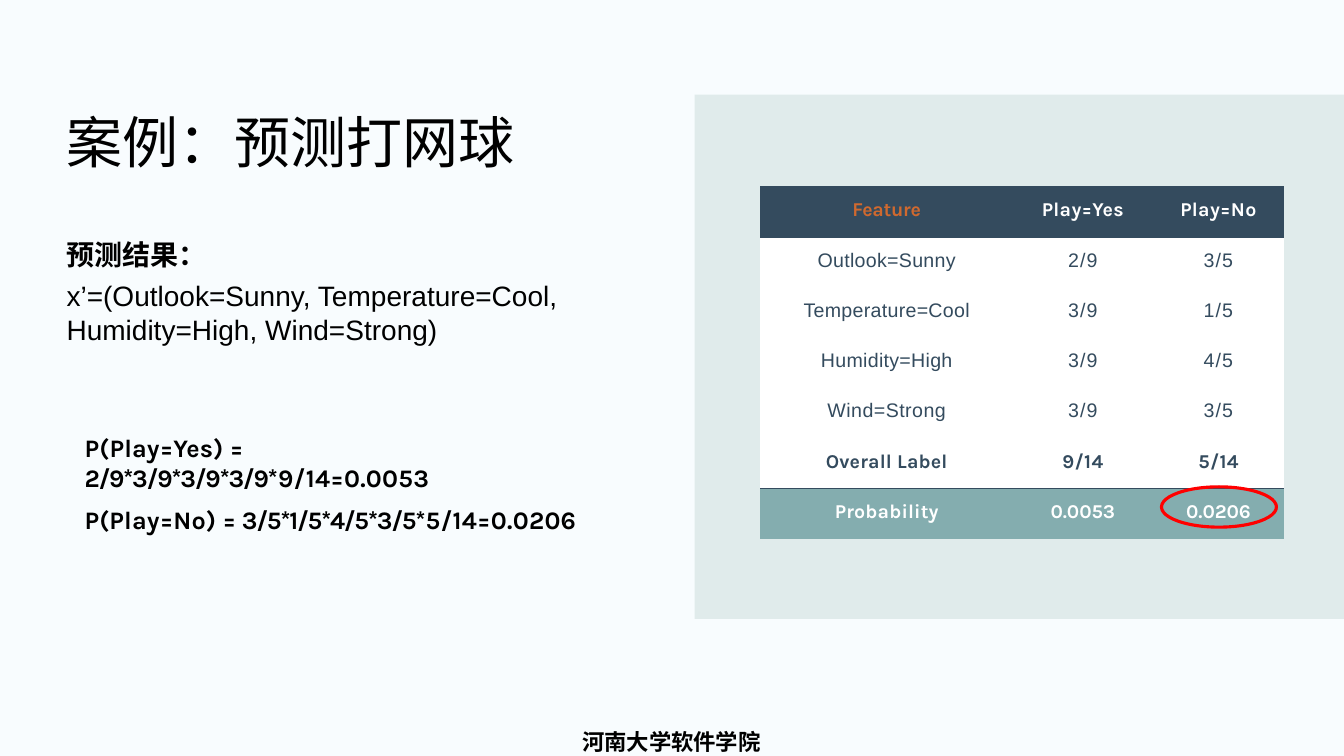
from lxml.etree import SubElement
from pptx import Presentation
from pptx.dml.color import RGBColor
from pptx.enum.shapes import MSO_SHAPE
from pptx.enum.text import MSO_ANCHOR, MSO_AUTO_SIZE, PP_ALIGN
from pptx.oxml import parse_xml
from pptx.oxml.ns import nsdecls, qn
from pptx.util import Inches, Pt

BACKGROUND = RGBColor(0xF8, 0xFC, 0xFE)
PANEL = RGBColor(0xE0, 0xEB, 0xEB)
NAVY = RGBColor(0x34, 0x4B, 0x5E)
TEAL = RGBColor(0x84, 0xAD, 0xAF)
ORANGE = RGBColor(0xD0, 0x69, 0x2F)
WHITE = RGBColor(0xFF, 0xFF, 0xFF)
BLACK = RGBColor(0, 0, 0)
RED = RGBColor(0xFF, 0, 0)
PLAIN_TABLE = "{2D5ABB26-0587-4C30-8999-92F81FD0307C}"


class SlideBuilder:
    heading_font = "Karla"
    body_font = "Arial"

    def __init__(self, slide):
        self.slide = slide
        slide.background.fill.solid()
        slide.background.fill.fore_color.rgb = BACKGROUND

    def set_text(self, paragraph, runs, size, font, color=BLACK, bold=False,
                 align=PP_ALIGN.LEFT):
        """Fill a paragraph with (text, letter spacing in points) runs."""
        for text, spacing in runs:
            run = paragraph.add_run()
            run.text = text
            if spacing:
                run.font._element.set("spc", str(round(spacing * 100)))
        paragraph.alignment = align
        paragraph.font.size = Pt(size)
        paragraph.font.name = font
        paragraph.font.bold = bold
        paragraph.font.color.rgb = color

    def text_box(self, left, top, width, height, insets=(0.1, 0.05, 0.1, 0.05),
                 anchor=MSO_ANCHOR.TOP):
        frame = self.slide.shapes.add_textbox(
            Inches(left), Inches(top), Inches(width), Inches(height)).text_frame
        frame.word_wrap = True
        frame.auto_size = MSO_AUTO_SIZE.SHAPE_TO_FIT_TEXT
        frame.vertical_anchor = anchor
        (frame.margin_left, frame.margin_top,
         frame.margin_right, frame.margin_bottom) = map(Inches, insets)
        return frame

    def shape(self, kind, left, top, width, height, fill=None, line=None):
        shape = self.slide.shapes.add_shape(
            kind, Inches(left), Inches(top), Inches(width), Inches(height))
        shape.shadow.inherit = False
        if fill is None:
            shape.fill.background()
        else:
            shape.fill.solid()
            shape.fill.fore_color.rgb = fill
        if line is None:
            shape.line.fill.background()
        else:
            shape.line.color.rgb = line
            shape.line.width = Pt(2.25)

    def table(self, left, top, widths, heights):
        table = self.slide.shapes.add_table(
            len(heights), len(widths), Inches(left), Inches(top),
            Inches(sum(widths)), Inches(sum(heights))).table
        table.first_row = table.horz_banding = False
        table._tbl.tblPr.find(qn("a:tableStyleId")).text = PLAIN_TABLE
        for column, width in zip(table.columns, widths):
            column.width = Inches(width)
        for row, height in zip(table.rows, heights):
            row.height = Inches(height)
        return table

    def cell(self, cell, text, spacing, fill, color, bold):
        cell.margin_left = cell.margin_right = cell.margin_bottom = 0
        cell.margin_top = Inches(0.12)
        cell.fill.solid()
        cell.fill.fore_color.rgb = fill
        font = self.heading_font if bold else self.body_font
        self.set_text(cell.text_frame.paragraphs[0], [(text, spacing)], 14,
                      font, color, bold, PP_ALIGN.CENTER)

    def cell_border(self, cell, side, color):
        border = parse_xml(f'<a:{side} {nsdecls("a")} w="12700"/>')
        fill = SubElement(border, qn("a:solidFill"))
        SubElement(fill, qn("a:srgbClr"), val=str(color))
        cell._tc.get_or_add_tcPr().insert(0, border)


def main():
    presentation = Presentation()
    presentation.slide_width = Inches(13.33)
    presentation.slide_height = Inches(7.5)
    builder = SlideBuilder(
        presentation.slides.add_slide(presentation.slide_layouts[6]))

    # Footer and panel
    footer = builder.text_box(4.93, 7.17, 3.46, 0.33)
    builder.set_text(footer.paragraphs[0], [("河南大学软件学院", 0)], 16,
                     "DejaVu Sans", bold=True, align=PP_ALIGN.CENTER)
    builder.shape(MSO_SHAPE.RECTANGLE, 6.89, 0.94, 6.44, 5.2, fill=PANEL)

    # Probability table: label, yes, no, label spacing, value spacing
    features = [
        ("Feature", "Play=Yes", "Play=No", -0.2, 0.2),
        ("Outlook=Sunny", "2/9", "3/5", 0.2, 0.8),
        ("Temperature=Cool", "3/9", "1/5", 0.2, 0.8),
        ("Humidity=High", "3/9", "4/5", 0.2, 0.8),
        ("Wind=Strong", "3/9", "3/5", 0.3, 0.8),
        ("Overall Label", "9/14", "5/14", 0.1, 0.2),
        ("Probability", "0.0053", "0.0206", 0.1, -0.1),
    ]
    row_styles = [(NAVY, WHITE, True), *[(WHITE, NAVY, False)] * 4,
                  (WHITE, NAVY, True), (TEAL, WHITE, True)]
    probabilities = builder.table(7.54, 1.85, [2.51, 1.38, 1.31],
                                  [0.51, 0.49] + [0.5] * 5)
    for row, (feature, style) in enumerate(zip(features, row_styles)):
        *texts, label_spacing, value_spacing = feature
        fill, color, bold = style
        for column, text in enumerate(texts):
            builder.cell(probabilities.cell(row, column), text,
                         value_spacing if column else label_spacing,
                         fill, color, bold)
    probabilities.cell(0, 0).text_frame.paragraphs[0].font.color.rgb = ORANGE
    for column in range(3):
        builder.cell_border(probabilities.cell(5, column), "lnB", NAVY)
        builder.cell_border(probabilities.cell(6, column), "lnT", NAVY)

    # Title
    title = builder.text_box(0.66, 1.02, 6.12, 0.73, (0, 0.12, 0, 0),
                             MSO_ANCHOR.MIDDLE)
    builder.set_text(title.paragraphs[0], [("案例：预测打网球", 0)], 40,
                     "Calibri")
    title.paragraphs[0].line_spacing = 0.9

    # Instance to predict
    instance = builder.text_box(0.66, 2.29, 5.79, 1.15, (0, 0.07, 0, 0))
    builder.set_text(instance.paragraphs[0], [("预测结果：", 0)], 20,
                     builder.heading_font, bold=True)
    attributes = instance.add_paragraph()
    attributes.space_before = Pt(5.2)
    builder.set_text(attributes, [("x’=(Outlook=Sunny, Temperature=Cool, "
                                   "Humidity=High, Wind=Strong)", 0)], 20,
                     builder.body_font)

    # Formulas
    formulas = [
        (4.24, 5.21, "P(Play=Yes) =", " 2/9*3/9*3/9*3/9*", "9/14=0.0053"),
        (4.95, 5.13, "P(Play=No) =", " 3/5*1/5*4/5*3/5*", "5/14=0.0206"),
    ]
    for top, width, *parts in formulas:
        formula = builder.text_box(0.74, top, width, 0.4)
        builder.set_text(formula.paragraphs[0], zip(parts, (0.1, -0.9, 0.2)),
                         18, builder.heading_font, bold=True)

    # Mark around the winning probability
    builder.shape(MSO_SHAPE.OVAL, 11.52, 4.83, 1.14, 0.4, line=RED)

    presentation.save("out.pptx")


if __name__ == "__main__":
    main()
